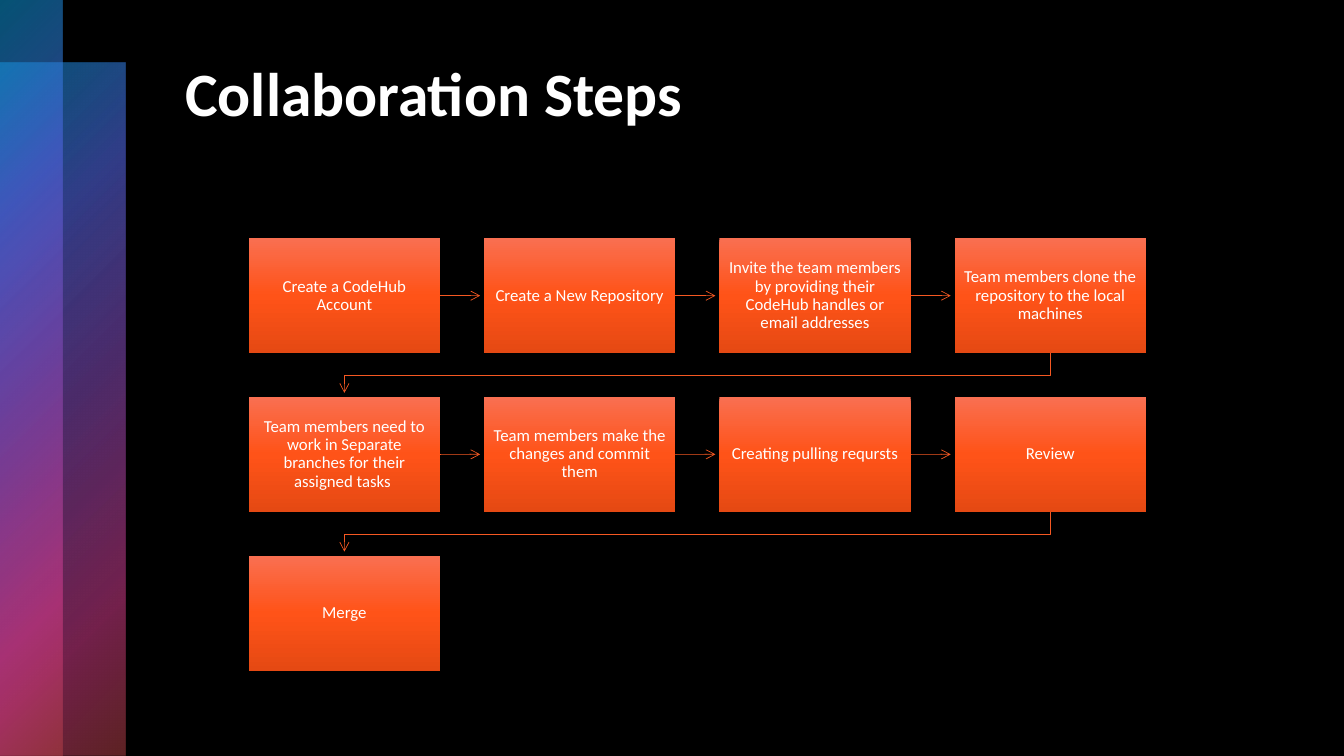
from lxml import etree
from pptx import Presentation
from pptx.dml.color import RGBColor
from pptx.enum.shapes import MSO_CONNECTOR, MSO_SHAPE
from pptx.enum.text import MSO_ANCHOR as ANCHOR, PP_ALIGN as ALIGN
from pptx.oxml import parse_xml
from pptx.oxml.ns import nsdecls, qn
from pptx.util import Cm, Pt

TITLE = "Collaboration Steps"
STEPS = [
    "Create a CodeHub Account",
    "Create a New Repository",
    "Invite the team members by providing their CodeHub handles or email addresses",
    "Team members clone the repository to the local machines",
    "Team members need to work in Separate branches for their assigned tasks ",
    "Team members make the changes and commit them",
    "Creating pulling reqursts",
    "Review",
    "Merge",
]
FONT = "Calibri"
WHITE, BLACK, ARROW = "FFFFFF", "000000", "F55822"
STEP_STOPS = [(0, "F96F51", 100), (50, "FF5318", 100), (100, "E54913", 100)]
BAR_STOPS = [(0, "0BA5E8", 50), (25, "5066E1", 60), (50, "894EC0", 55),
             (81, "E54196", 50), (99, "BE4449", 50)]
DOWNWARD = '<a:lin ang="5400000" scaled="0"/>'
FROM_TOP_LEFT = '<a:path path="circle"><a:fillToRect r="100000" b="100000"/></a:path>'

SLIDE_W, SLIDE_H = 33.87, 19.05
BAR = 1.58
COLUMNS = 4
LEFT, TOP = 6.27, 6.0
BOX_W, BOX_H = 4.82, 2.9
PITCH_X, PITCH_Y = 5.93, 4.0
ARROW_GAP = 0.1


def colour(value):
    return RGBColor.from_string(value)


def set_gradient(shape, stops, direction):
    stop_xml = "".join(
        f'<a:gs pos="{position * 1000}"><a:srgbClr val="{value}">'
        f'<a:alpha val="{alpha * 1000}"/></a:srgbClr></a:gs>'
        for position, value, alpha in stops)
    gradient = parse_xml(f'<a:gradFill {nsdecls("a")} rotWithShape="1">'
                         f'<a:gsLst>{stop_xml}</a:gsLst>{direction}</a:gradFill>')
    shape.element.spPr.find(qn("a:prstGeom")).addnext(gradient)


def add_rectangle(slide, left, top, width, height, stops, direction):
    shape = slide.shapes.add_shape(MSO_SHAPE.RECTANGLE, Cm(left), Cm(top), Cm(width), Cm(height))
    shape.shadow.inherit = False
    shape.line.fill.background()
    set_gradient(shape, stops, direction)
    return shape


def write(text_frame, text, size, bold=False):
    text_frame.word_wrap = True
    text_frame.text = text
    paragraph = text_frame.paragraphs[0]
    font = paragraph.runs[0].font
    font.name, font.size, font.bold = FONT, Pt(size), bold
    font.color.rgb = colour(WHITE)
    return paragraph


def style_arrow(shape):
    shape.line.color.rgb = colour(ARROW)
    shape.line.width = Pt(0.5)
    etree.SubElement(shape.line._get_or_add_ln(), qn("a:tailEnd"), type="arrow")


def box_origin(index):
    row, column = divmod(index, COLUMNS)
    return LEFT + column * PITCH_X, TOP + row * PITCH_Y


def add_step(slide, index, text):
    box = add_rectangle(slide, *box_origin(index), BOX_W, BOX_H, STEP_STOPS, DOWNWARD)
    frame = box.text_frame
    frame.margin_left = frame.margin_right = Cm(0.23)
    frame.margin_top = frame.margin_bottom = Cm(0.25)
    frame.vertical_anchor = ANCHOR.MIDDLE
    paragraph = write(frame, text, 12)
    paragraph.alignment = ALIGN.CENTER
    paragraph.line_spacing = 0.9
    return box


def add_row_arrow(slide, box, index):
    left, top = box_origin(index)
    middle = Cm(top + BOX_H / 2)
    connector = slide.shapes.add_connector(
        MSO_CONNECTOR.STRAIGHT, Cm(left + BOX_W), middle, Cm(left + PITCH_X - ARROW_GAP), middle)
    connector.begin_connect(box, 3)
    style_arrow(connector)
    etree.SubElement(connector.element.spPr, qn("a:effectLst"))


def add_return_arrow(slide, index):
    left, top = box_origin(index)
    start_x, end_x = left + BOX_W / 2, LEFT + BOX_W / 2
    start_y, next_top = top + BOX_H, top + PITCH_Y
    bend_y = (start_y + next_top) / 2 + 0.02
    builder = slide.shapes.build_freeform(Cm(start_x), Cm(start_y))
    builder.add_line_segments(
        [(Cm(start_x), Cm(bend_y)), (Cm(end_x), Cm(bend_y)), (Cm(end_x), Cm(next_top - ARROW_GAP))],
        close=False)
    shape = builder.convert_to_shape()
    shape.shadow.inherit = False
    shape.fill.background()
    style_arrow(shape)


def main():
    presentation = Presentation()
    presentation.slide_width, presentation.slide_height = Cm(SLIDE_W), Cm(SLIDE_H)
    slide = presentation.slides.add_slide(presentation.slide_layouts[6])
    slide.background.fill.solid()
    slide.background.fill.fore_color.rgb = colour(BLACK)

    add_rectangle(slide, 0, BAR, 2 * BAR, SLIDE_H - BAR, BAR_STOPS, FROM_TOP_LEFT)
    add_rectangle(slide, 0, 0, BAR, SLIDE_H, BAR_STOPS, FROM_TOP_LEFT)

    title = slide.shapes.add_textbox(Cm(4.42), Cm(1.27), Cm(26.34), Cm(4.32))
    write(title.text_frame, TITLE, 44, bold=True)

    boxes = [add_step(slide, index, text) for index, text in enumerate(STEPS)]
    for index, box in enumerate(boxes[:-1]):
        if (index + 1) % COLUMNS:
            add_row_arrow(slide, box, index)
        else:
            add_return_arrow(slide, index)

    presentation.save("out.pptx")


if __name__ == "__main__":
    main()
